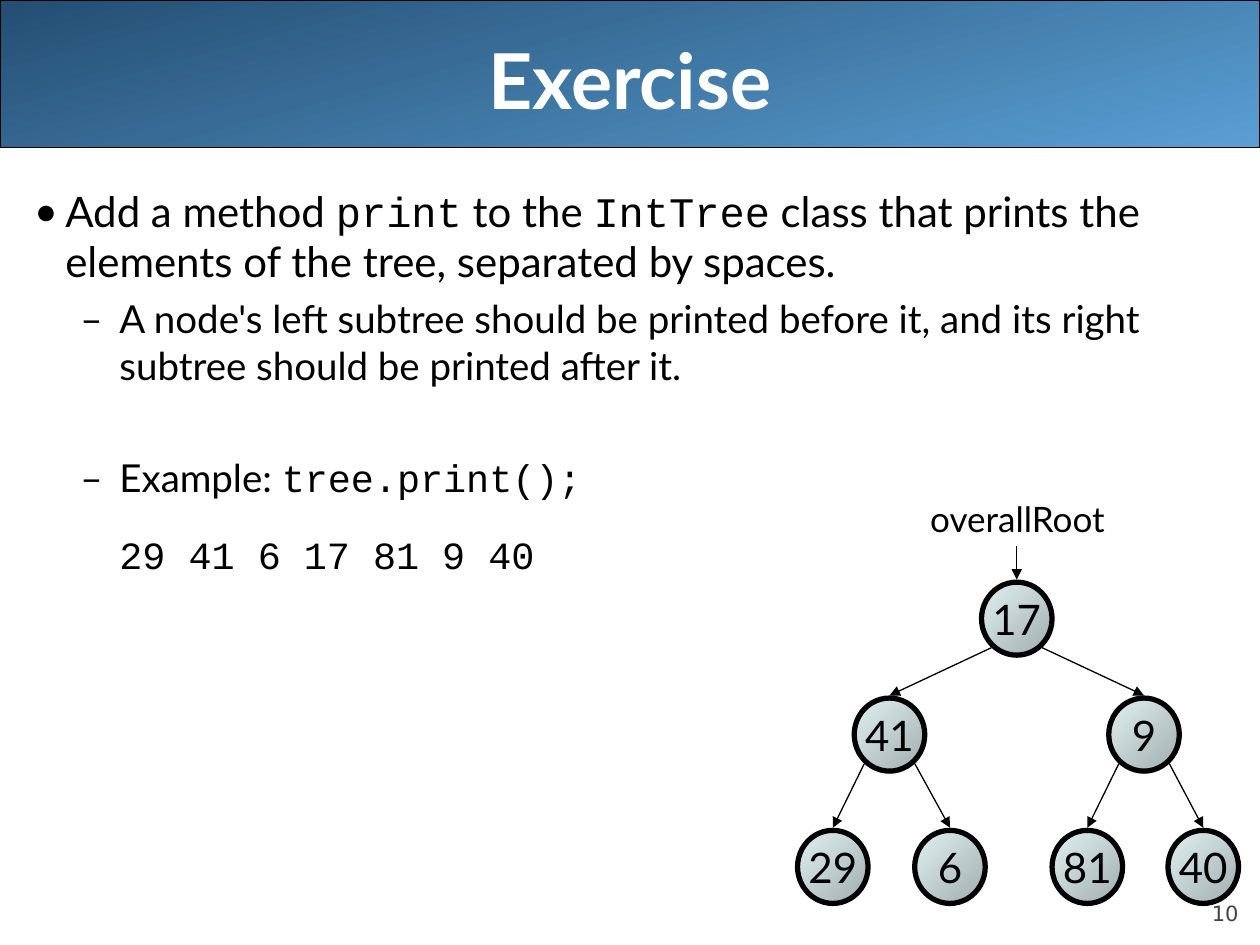
"""Build the Exercise slide with a binary tree and its in-order printout."""
from dataclasses import dataclass

from lxml.etree import SubElement
from pptx import Presentation
from pptx.dml.color import RGBColor
from pptx.enum.shapes import MSO_CONNECTOR as Link, MSO_SHAPE as Shape
from pptx.enum.text import MSO_ANCHOR as Anchor, PP_ALIGN as Align
from pptx.oxml.ns import qn
from pptx.util import Inches, Pt


@dataclass(frozen=True)
class Theme:
    sans: str = "Lato"
    mono: str = "Courier New"
    number_font: str = "DejaVu Sans"
    ink: str = "000000"
    title_ink: str = "FFFFFF"
    number_ink: str = "424242"
    banner: tuple = ("244E72", "5A9FD4")
    node: tuple = ("A1ADAE", "E1F2F3")
    title: int = 44
    body: int = 24
    detail: int = 22
    label: int = 20
    number: int = 12
    thin: float = 0.75
    thick: float = 3


theme = Theme()
deck = Presentation()
deck.slide_width, deck.slide_height = Inches(10), Inches(7.5)
slide = deck.slides.add_slide(deck.slide_layouts[6])
shapes = slide.shapes
COL = deck.slide_width / 100
ROW = deck.slide_height / 75


def write(frame, *pieces, size, ink=theme.ink, font=theme.sans, bold=False,
          align=Align.LEFT, anchor=Anchor.TOP, wrap=True, before=None,
          bullet=None, margin=0, hang=0):
    """Add a paragraph of pieces; every second piece is set in code type."""
    frame.word_wrap = wrap
    frame.vertical_anchor = anchor
    first = frame.paragraphs[0]
    paragraph = frame.add_paragraph() if first.runs else first
    paragraph.alignment = align
    if before is not None:
        paragraph.space_before = Pt(before)
    properties = paragraph._p.get_or_add_pPr()
    properties.set("marL", str(Inches(margin)))
    properties.set("indent", str(Inches(-hang)))
    if bullet:
        SubElement(properties, qn("a:buFont")).set("typeface", font)
        SubElement(properties, qn("a:buChar")).set("char", bullet)
    for index, piece in enumerate(pieces):
        if piece:
            run = paragraph.add_run()
            run.text = piece
            run.font.name = theme.mono if index % 2 else font
            run.font.size = Pt(size)
            run.font.bold = bold
            run.font.color.rgb = RGBColor.from_string(ink)


def place(kind, left, top, width, height, colors, angle, weight):
    """Add a gradient shape measured in grid columns and rows."""
    shape = shapes.add_shape(kind, int(left * COL), int(top * ROW),
                             int(width * COL), int(height * ROW))
    shape.shadow.inherit = False
    shape.fill.gradient()
    shape.fill.gradient_angle = angle
    for stop, color in zip(shape.fill.gradient_stops, colors):
        stop.color.rgb = RGBColor.from_string(color)
    shape.line.color.rgb = RGBColor.from_string(theme.ink)
    shape.line.width = Pt(weight)
    return shape


banner = place(Shape.ROUNDED_RECTANGLE, 0, 0, 100, 11.7, theme.banner, 285, theme.thin)
banner.adjustments[0] = 0

page_number = shapes.add_textbox(int(90 * COL), int(69.5 * ROW), int(8.3 * COL), int(4 * ROW)).text_frame
page_number.margin_left = page_number.margin_right = 0
page_number.margin_top = page_number.margin_bottom = 0
write(page_number, "10", size=theme.number, ink=theme.number_ink,
      font=theme.number_font, align=Align.RIGHT, anchor=Anchor.BOTTOM)

title = shapes.add_textbox(int(5 * COL), 0, int(90 * COL), int(12.5 * ROW)).text_frame
write(title, "Exercise", size=theme.title, ink=theme.title_ink, bold=True,
      align=Align.CENTER, anchor=Anchor.MIDDLE)

task = shapes.add_textbox(int(1.7 * COL), int(14.2 * ROW), int(98.3 * COL), int(56.7 * ROW)).text_frame
write(task, "Add a method ", "print", " to the ", "IntTree",
      " class that prints the elements of the tree, separated by spaces.",
      size=theme.body, bullet="•", margin=0.25, hang=0.25)
detail = dict(size=theme.detail, margin=0.68)
write(task, "A node's left subtree should be printed before it, and its right "
      "subtree should be printed after it.",
      before=5.5, bullet="–", hang=0.31, **detail)
write(task, "Example: ", "tree.print();", before=38, bullet="–", hang=0.31, **detail)
write(task, "", "29 41 6 17 81 9 40", before=17.5, **detail)

NODE_WIDTH, NODE_HEIGHT = 5.6, 5.8
level_tops = [46.2, 55.4, 65.9]
values = [17, 41, 9, 29, 6, 81, 40]
centers = [80.7, 70.6, 90.8, 66.1, 75.4, 86.3, 95.5]
tops = [level_tops[(index + 1).bit_length() - 1] for index in range(len(values))]

for value, center, top in zip(values, centers, tops):
    node = place(Shape.OVAL, center - NODE_WIDTH / 2, top, NODE_WIDTH, NODE_HEIGHT,
                 theme.node, 135, theme.thick)
    write(node.text_frame, str(value), size=theme.body, align=Align.CENTER,
          anchor=Anchor.MIDDLE, wrap=False)

root_label = shapes.add_textbox(int(72.3 * COL), int(39 * ROW), int(16.9 * COL), int(4.4 * ROW)).text_frame
write(root_label, "overallRoot", size=theme.label, align=Align.CENTER, wrap=False)

arrows = [(centers[0], 43.3, centers[0], tops[0] - 0.2)]
for child in range(1, len(values)):
    parent = (child - 1) // 2
    side = -2 if child % 2 else 2
    arrows.append((centers[parent] + side, tops[parent] + 5.2,
                   centers[child], tops[child] - 0.2))

for start_x, start_y, end_x, end_y in arrows:
    arrow = shapes.add_connector(Link.STRAIGHT, int(start_x * COL), int(start_y * ROW),
                                 int(end_x * COL), int(end_y * ROW))
    arrow.line.color.rgb = RGBColor.from_string(theme.ink)
    arrow.line.width = Pt(theme.thin)
    SubElement(arrow.line._get_or_add_ln(), qn("a:tailEnd")).set("type", "triangle")
    SubElement(arrow._element.spPr, qn("a:effectLst"))

deck.save("out.pptx")
